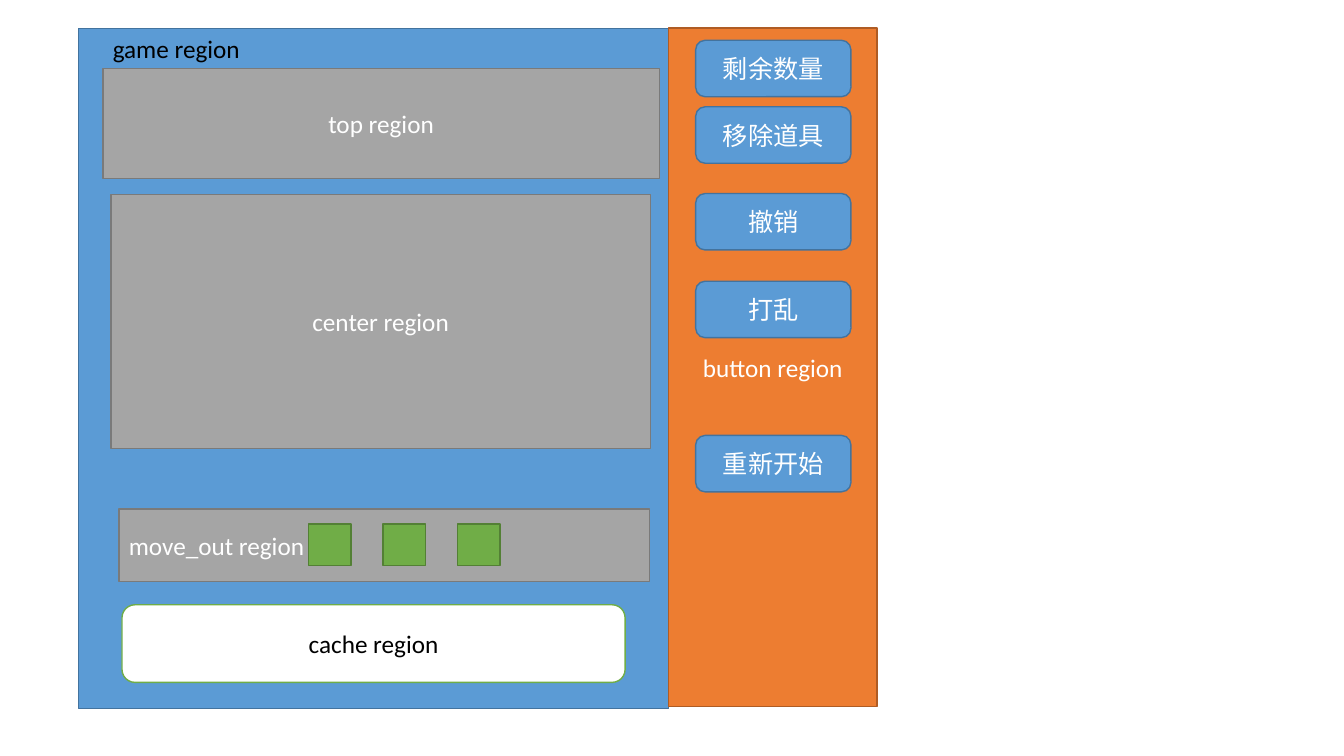
from pptx import Presentation
from pptx.dml.color import RGBColor as RGB
from pptx.enum.shapes import MSO_SHAPE as SHAPE
from pptx.enum.text import MSO_ANCHOR as ANCHOR, MSO_AUTO_SIZE as FIT, PP_ALIGN as ALIGN
from pptx.util import Inches, Pt

HUES = {
    "blue": "5B9BD5", "navy": "43739E",
    "orange": "ED7D31", "rust": "AF5C24",
    "gray": "A5A5A5", "slate": "7A7A7A",
    "green": "70AD47", "moss": "538035",
    "white": "FFFFFF", "black": "000000",
}
FONT = {"name": "Calibri", "size": Pt(18)}


def hue(name):
    """Return the named colour."""
    return RGB.from_string(HUES[name])


def write(frame, text, ink, align):
    """Put one formatted line of text in a frame."""
    para = frame.paragraphs[0]
    para.alignment = align
    run = para.add_run()
    run.text = text
    for key, value in FONT.items():
        setattr(run.font, key, value)
    run.font.color.rgb = hue(ink)


def add_box(slide, at, fill, edge, text="", ink="white", kind=SHAPE.RECTANGLE, align=ALIGN.CENTER):
    """Draw a filled, outlined box with optional text."""
    box = slide.shapes.add_shape(kind, *map(Inches, at))
    box.shadow.inherit = False
    box.fill.solid()
    box.fill.fore_color.rgb = hue(fill)
    box.line.color.rgb = hue(edge)
    box.line.width = Pt(1)
    if text:
        box.text_frame.vertical_anchor = ANCHOR.MIDDLE
        write(box.text_frame, text, ink, align)


def add_label(slide, at, text):
    """Draw a plain text label."""
    frame = slide.shapes.add_textbox(*map(Inches, at)).text_frame
    frame.word_wrap = True
    frame.auto_size = FIT.SHAPE_TO_FIT_TEXT
    write(frame, text, "black", ALIGN.LEFT)


def add_buttons(slide):
    """Draw the column of game buttons."""
    tops = {"剩余数量": 0.4, "移除道具": 1.06, "撤销": 1.92, "打乱": 2.79, "重新开始": 4.32}
    for text, top in tops.items():
        add_box(slide, (6.9, top, 1.54, 0.56), "blue", "navy", text, kind=SHAPE.ROUNDED_RECTANGLE)


def add_tiles(slide):
    """Draw the row of moved-out tiles."""
    for i in range(3):
        add_box(slide, (3.06 + 0.74 * i, 5.2, 0.42, 0.41), "green", "moss")


def main():
    """Build and save the game layout slide."""
    deck = Presentation()
    deck.slide_width, deck.slide_height = Inches(13.33), Inches(7.5)
    slide = deck.slides.add_slide(deck.slide_layouts[6])
    add_box(slide, (0.78, 0.28, 5.85, 6.75), "blue", "navy")
    add_box(slide, (1.21, 6, 4.99, 0.77), "white", "green", "cache region", "black",
            SHAPE.ROUNDED_RECTANGLE)
    add_box(slide, (6.63, 0.28, 2.07, 6.73), "orange", "rust", "button region")
    add_buttons(slide)
    add_label(slide, (1.02, 0.28, 1.51, 0.4), "game region")
    add_box(slide, (1.02, 0.68, 5.52, 1.09), "gray", "slate", "top region")
    add_box(slide, (1.1, 1.93, 5.35, 2.52), "gray", "slate", "center region")
    add_box(slide, (1.18, 5.05, 5.26, 0.72), "gray", "slate", "move_out region", align=ALIGN.LEFT)
    add_tiles(slide)
    deck.save("out.pptx")


main()
